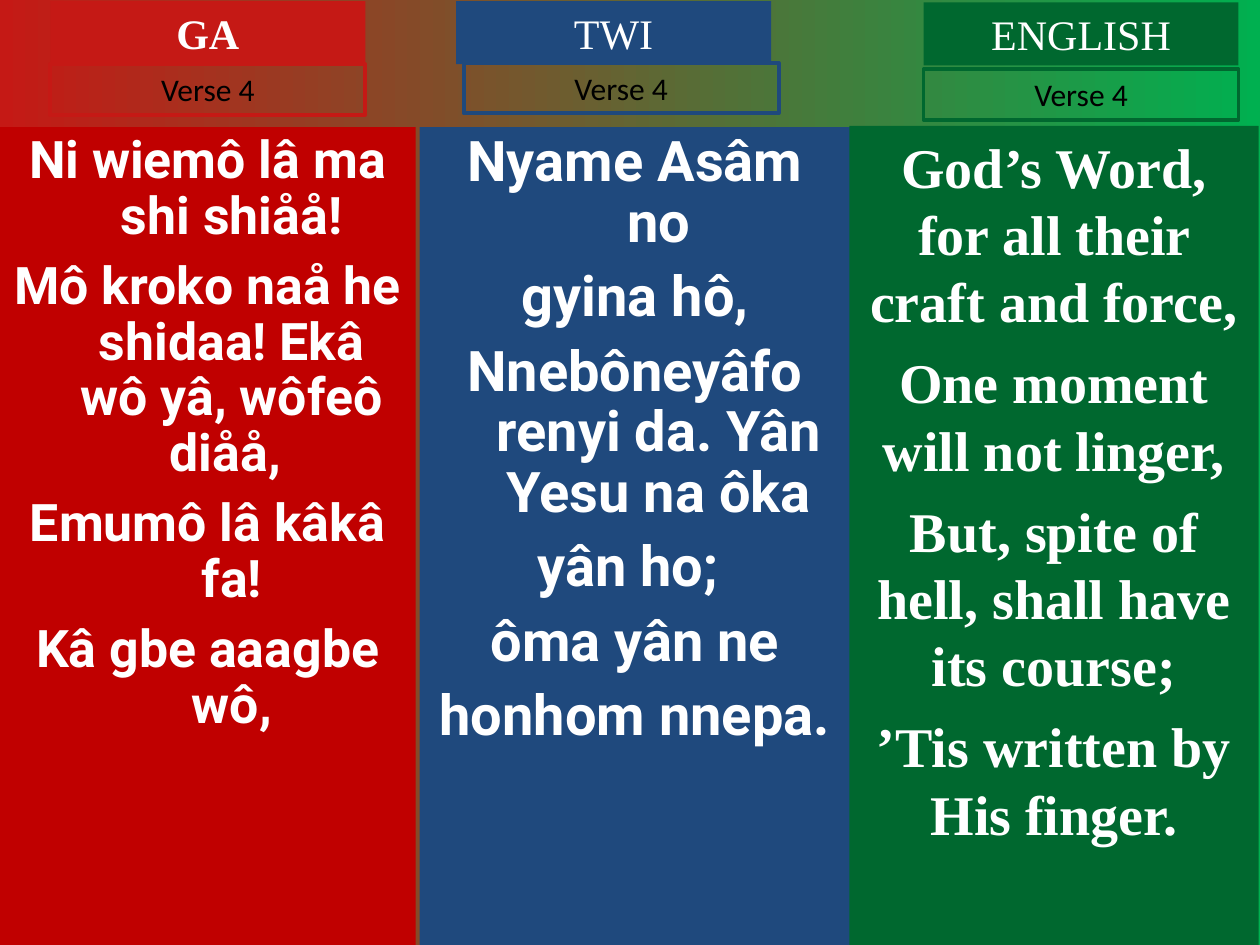
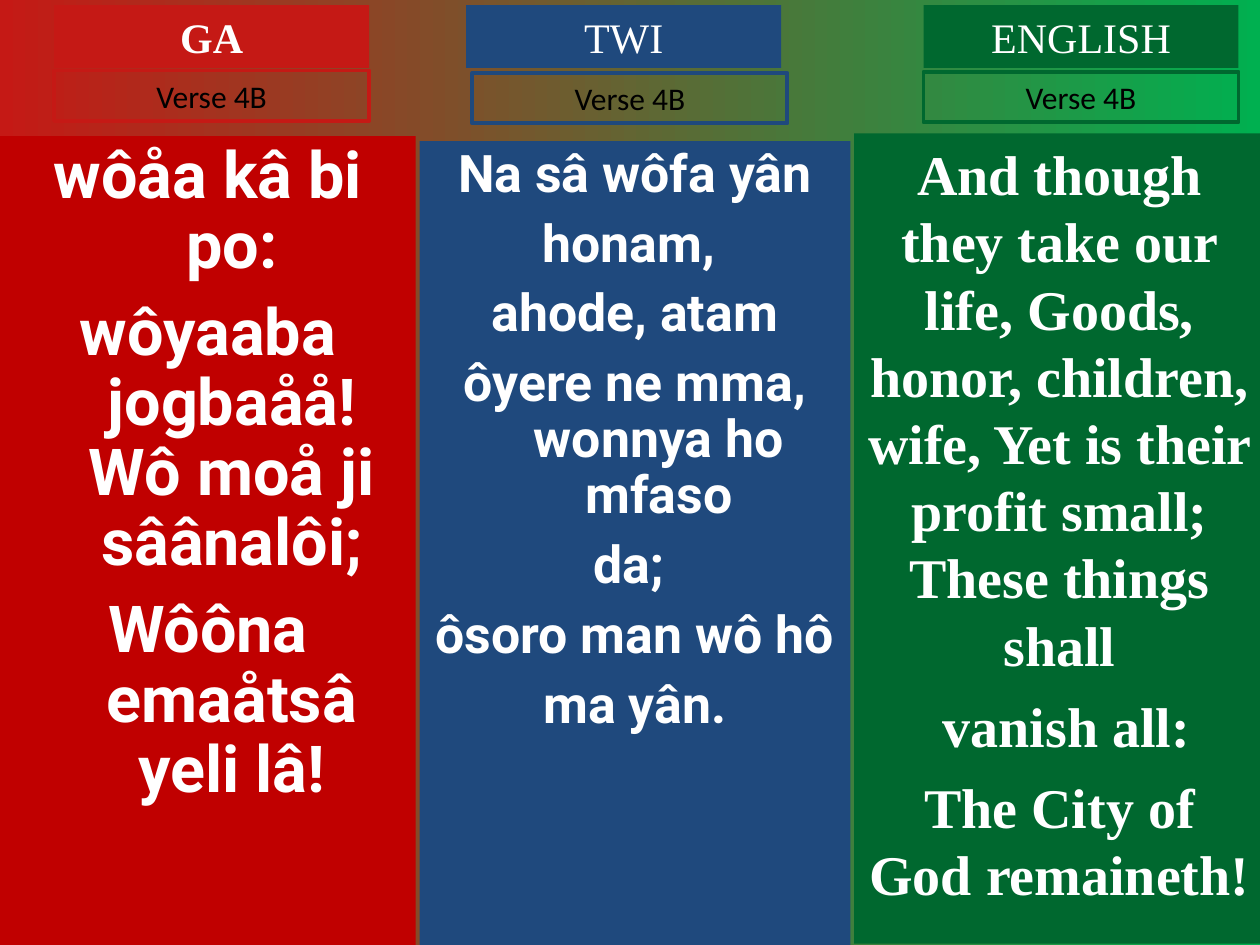
from dataclasses import dataclass

from pptx import Presentation
from pptx.dml.color import RGBColor as RGB
from pptx.enum.shapes import MSO_SHAPE as Preset
from pptx.enum.text import MSO_ANCHOR as Anchor, PP_ALIGN as Align
from pptx.util import Inches, Pt


@dataclass(frozen=True)
class Theme:
    red: str = "C51915"
    deep_red: str = "C00000"
    blue: str = "1F497D"
    green: str = "00682F"
    bright_green: str = "00B050"
    white: str = "FFFFFF"
    black: str = "000000"
    serif: str = "Times New Roman"
    lyric_sans: str = "Roboto"
    label_sans: str = "Calibri"
    heading_size: float = 24
    label_size: float = 18
    label_line: float = 2.25
    hanging: float = 0.38


@dataclass(frozen=True)
class Language:
    name: str
    accent: str
    panel: str
    lyric_font: str
    bold_name: bool = False
    hangs: bool = True
    line_spacing: float = 0.9


@dataclass(frozen=True)
class Box:
    left: float
    top: float
    width: float
    height: float

    def inset(self, left, top, width, height):
        return Box(self.left + left, self.top + top, width, height)


@dataclass(frozen=True)
class Column:
    box: Box
    lyrics_top: float
    heading_at: tuple
    label_at: tuple
    size: float
    gap: float
    lyrics: tuple


THEME = Theme()
WIDTH, HEIGHT = Inches(10), Inches(7.5)
GRID_COLUMNS, GRID_ROWS = 100, 75
HEADING_SPAN = (25, 5)
LABEL_SPAN = (25, 4)

LANGUAGES = (
    Language("GA", THEME.red, THEME.deep_red, THEME.lyric_sans, bold_name=True),
    Language("TWI", THEME.blue, THEME.blue, THEME.lyric_sans),
    Language("ENGLISH", THEME.green, THEME.green, THEME.serif,
             hangs=False, line_spacing=1.0),
)

VERSES = {
    "Verse 4": (
        Column(Box(0, 0, 33, 75), 10.1, (4, 0.1), (4, 5.1), 29.6, 8, (
            "Ni wiemô lâ ma shi shiåå!",
            "Mô kroko naå he shidaa! Ekâ wô yâ, wôfeô diåå, ",
            "Emumô lâ kâkâ fa!",
            "Kâ gbe aaagbe wô,",
        )),
        Column(Box(33.3, 0, 34.2, 75), 10.1, (2.9, 0.1), (3.5, 5), 32, 8, (
            "Nyame Asâm no",
            "gyina hô,",
            "Nnebôneyâfo renyi da. Yân Yesu na ôka",
            "yân ho; ",
            "ôma yân ne",
            "honhom nnepa.",
        )),
        Column(Box(67.4, 0, 32.5, 75), 10, (5.9, 0.2), (5.9, 5.5), 32, 8, (
            "God’s Word, for all their craft and force,",
            "One moment will not linger,",
            "But, spite of hell, shall have its course;",
            "’Tis written by His finger.",
        )),
    ),
    "Verse 4B": (
        Column(Box(0, 0, 33, 75), 10.8, (4.3, 0.4), (4.3, 5.6), 37, 10, (
            "wôåa kâ bi po:",
            "wôyaaba jogbaåå! Wô moå ji sâânalôi;",
            "Wôôna emaåtsâ yeli lâ!",
        )),
        Column(Box(33.3, 0, 34.2, 75), 11.2, (3.7, 0.4), (4.2, 5.8), 29.6, 8, (
            "Na sâ wôfa yân",
            "honam, ",
            "ahode, atam",
            "ôyere ne mma, wonnya ho mfaso",
            "da; ",
            "ôsoro man wô hô",
            "ma yân.",
        )),
        Column(Box(67.8, 0, 32.6, 74.9), 10.6, (5.5, 0.4), (5.5, 5.7), 32, 8, (
            "And though they take our life, Goods, honor, children, wife, "
            "Yet is their profit small; These things shall",
            " vanish all:",
            "The City of God remaineth!",
        )),
    ),
}


def color(hex_code):
    return RGB.from_string(hex_code)


def add_panel(slide, box, fill=None, outline=None):
    panel = slide.shapes.add_shape(
        Preset.RECTANGLE,
        round(WIDTH * box.left / GRID_COLUMNS),
        round(HEIGHT * box.top / GRID_ROWS),
        round(WIDTH * box.width / GRID_COLUMNS),
        round(HEIGHT * box.height / GRID_ROWS),
    )
    panel.shadow.inherit = False
    if fill:
        panel.fill.solid()
        panel.fill.fore_color.rgb = color(fill)
    else:
        panel.fill.background()
    if outline:
        panel.line.color.rgb = color(outline)
        panel.line.width = Pt(THEME.label_line)
    else:
        panel.line.fill.background()
    return panel


def write(panel, lines, face, size, ink, bold=False, gap=0, spacing=1.0, hangs=False):
    frame = panel.text_frame
    frame.word_wrap = True
    frame.vertical_anchor = Anchor.TOP
    for index, line in enumerate(lines):
        paragraph = frame.add_paragraph() if index else frame.paragraphs[0]
        paragraph.text = line
        paragraph.alignment = Align.CENTER
        paragraph.line_spacing = spacing
        paragraph.space_before = Pt(gap if index else 0)
        if hangs:
            properties = paragraph._p.get_or_add_pPr()
            properties.set("marL", str(Inches(THEME.hanging)))
            properties.set("indent", str(-Inches(THEME.hanging)))
        font = paragraph.font
        font.name, font.size, font.bold = face, Pt(size), bold
        font.color.rgb = color(ink)


def add_column(slide, language, column, verse):
    box = column.box
    lyrics = add_panel(
        slide,
        box.inset(0, column.lyrics_top, box.width, box.height - column.lyrics_top),
        fill=language.panel,
    )
    write(lyrics, column.lyrics, language.lyric_font, column.size, THEME.white,
          bold=True, gap=column.gap, spacing=language.line_spacing,
          hangs=language.hangs)

    heading = add_panel(slide, box.inset(*column.heading_at, *HEADING_SPAN),
                        fill=language.accent)
    write(heading, [language.name], THEME.serif, THEME.heading_size, THEME.white,
          bold=language.bold_name)

    label = add_panel(slide, box.inset(*column.label_at, *LABEL_SPAN),
                      outline=language.accent)
    write(label, [verse], THEME.label_sans, THEME.label_size, THEME.black)


def paint_background(master):
    fill = master.background.fill
    fill.gradient()
    fill.gradient_angle = 0
    ends = ((0, THEME.red), (1, THEME.bright_green))
    for stop, (position, shade) in zip(fill.gradient_stops, ends):
        stop.position = position
        stop.color.rgb = color(shade)


def add_verse(deck, verse, columns):
    slide = deck.slides.add_slide(deck.slide_layouts[6])
    for language, column in zip(LANGUAGES, columns):
        add_column(slide, language, column, verse)


def main():
    deck = Presentation()
    deck.slide_width, deck.slide_height = WIDTH, HEIGHT
    paint_background(deck.slide_master)
    for verse, columns in VERSES.items():
        add_verse(deck, verse, columns)
    deck.save("out.pptx")


if __name__ == "__main__":
    main()
